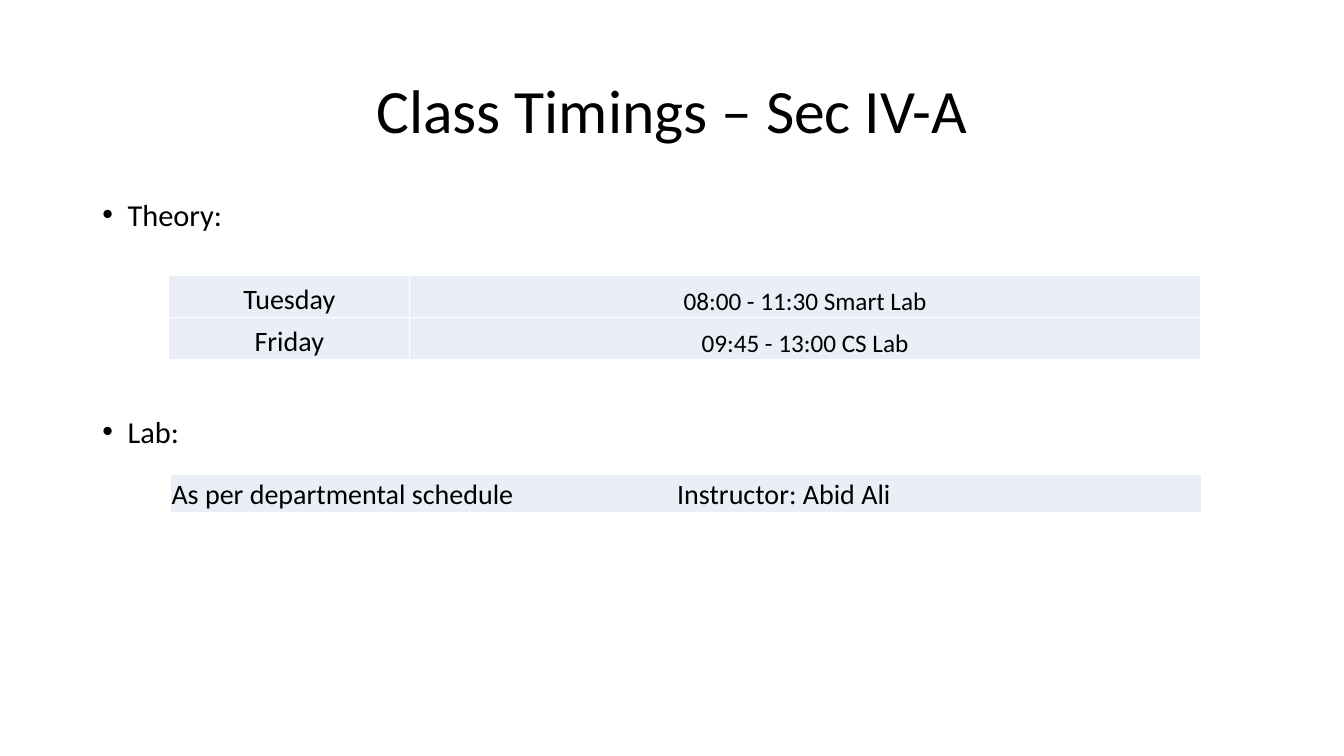
"""Build the class timings slide with its theory and lab schedules."""
import dataclasses

import lxml.etree
import pptx
import pptx.dml.color
import pptx.enum.text
import pptx.oxml.ns
import pptx.util

ALIGN = pptx.enum.text.PP_ALIGN
ANCHOR = pptx.enum.text.MSO_ANCHOR


@dataclasses.dataclass(frozen=True)
class Theme:
    """Colours, font and type sizes of the slide."""
    font: str = "Calibri"
    ink: str = "000000"
    band: str = "EAEFF7"
    border: str = "FFFFFF"
    title: float = 44
    bullet: float = 21.7
    day: float = 20
    time: float = 18


def rgb(value):
    """Turn a hex string into a colour."""
    return pptx.dml.color.RGBColor.from_string(value)


def child(parent, tag, **attrs):
    """Append a drawing element to its parent."""
    return lxml.etree.SubElement(parent, pptx.oxml.ns.qn(tag), **attrs)


def write(tf, text, *, theme, size, align=ALIGN.LEFT, spacing=None,
          before=None, bullet=None, tab=None):
    """Write one formatted paragraph into a text frame."""
    p = tf.paragraphs[0]
    p.alignment = align
    if spacing:
        p.line_spacing = spacing
    if before:
        p.space_before = pptx.util.Pt(before)
    pPr = p._p.get_or_add_pPr()
    if bullet:
        indent = pptx.util.Inches(0.25)
        pPr.set("marL", str(indent))
        pPr.set("indent", str(-indent))
        child(pPr, "a:buFont", typeface="Arial")
        child(pPr, "a:buChar", char=bullet)
    if tab:
        child(child(pPr, "a:tabLst"), "a:tab", pos=str(tab), algn="l")
    r = p.add_run()
    r.text = text
    r.font.name = theme.font
    r.font.size = pptx.util.Pt(size)
    r.font.color.rgb = rgb(theme.ink)


class Deck:
    """Holds the theme and current slide, measured in 160 columns by 90 rows."""

    def __init__(self, theme):
        """Open a blank slide."""
        self.theme = theme
        self.prs = pptx.Presentation()
        self.prs.slide_width = pptx.util.Inches(13.33)
        self.prs.slide_height = pptx.util.Inches(7.5)
        self.s = self.prs.slides.add_slide(self.prs.slide_layouts[6])

    def x(self, columns):
        """Convert columns to a length."""
        return round(self.prs.slide_width * columns / 160)

    def y(self, rows):
        """Convert rows to a length."""
        return round(self.prs.slide_height * rows / 90)

    def text(self, text, top, height, anchor=ANCHOR.TOP, **fmt):
        """Add a text box across the content width."""
        sp = self.s.shapes.add_textbox(self.x(11), self.y(top), self.x(138), self.y(height))
        tf = sp.text_frame
        tf.word_wrap = True
        tf.vertical_anchor = anchor
        write(tf, text, theme=self.theme, **fmt)

    def bullet(self, text, top):
        """Add a bulleted heading."""
        self.text(text, top, 4.7, size=self.theme.bullet, spacing=0.7, before=10, bullet="•")

    def table(self, rows, left, top, widths, height, formats):
        """Add a table with one text format per column."""
        tbl = self.s.shapes.add_table(
            len(rows), len(widths), self.x(left), self.y(top),
            self.x(sum(widths)), self.y(height * len(rows))).table
        tbl.first_row = tbl.horz_banding = False
        for column, width in zip(tbl.columns, widths):
            column.width = self.x(width)
        for i, row in enumerate(rows):
            tbl.rows[i].height = self.y(height)
            for j, text in enumerate(row):
                self.cell(tbl.cell(i, j), text, formats[j])

    def cell(self, cell, text, fmt):
        """Fill, border and write one table cell."""
        cell.margin_left = cell.margin_right = cell.margin_top = pptx.util.Inches(0.01)
        cell.margin_bottom = 0
        cell.vertical_anchor = ANCHOR.BOTTOM
        tcPr = cell._tc.get_or_add_tcPr()
        for side in "LRTB":
            ln = child(tcPr, f"a:ln{side}", w=str(pptx.util.Pt(1)))
            child(child(ln, "a:solidFill"), "a:srgbClr", val=self.theme.border)
        cell.fill.solid()
        cell.fill.fore_color.rgb = rgb(self.theme.band)
        write(cell.text_frame, text, theme=self.theme, **fmt)


def main():
    """Compose and save the slide."""
    theme = Theme()
    deck = Deck(theme)
    deck.text("Class Timings – Sec IV-A", 4.8, 17.4, ANCHOR.MIDDLE,
              size=theme.title, align=ALIGN.CENTER, spacing=0.9)
    deck.table([["Tuesday", "08:00 - 11:30 Smart Lab"],
                ["Friday", "09:45 - 13:00 CS Lab"]],
               20.1, 32.8, [28.7, 94.1], 5,
               [dict(size=theme.day, align=ALIGN.CENTER),
                dict(size=theme.time, align=ALIGN.CENTER)])
    deck.bullet("Theory:", 24)
    deck.bullet("Lab:", 49.8)
    deck.table([["As per departmental schedule\tInstructor: Abid Ali"]],
               20.3, 56.5, [122.8], 4.5,
               [dict(size=theme.day, tab=deck.x(60.2))])
    deck.prs.save("out.pptx")


if __name__ == "__main__":
    main()
